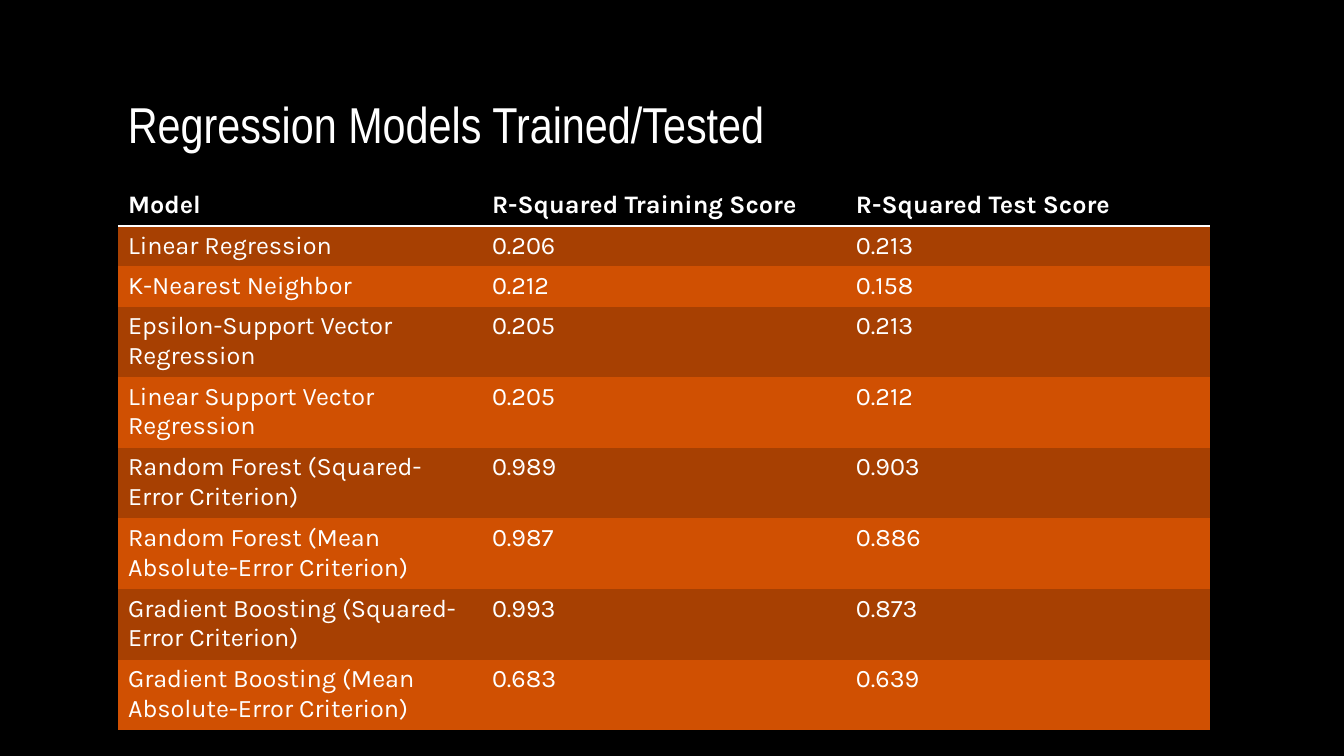
from lxml import etree
from pptx import Presentation
from pptx import util as u
from pptx.dml.color import RGBColor
from pptx.enum import text
from pptx.oxml import ns

BLACK = RGBColor(0x00, 0x00, 0x00)
WHITE = RGBColor(0xFF, 0xFF, 0xFF)
DARK_ORANGE = RGBColor(0xA7, 0x40, 0x02)
ORANGE = RGBColor(0xD0, 0x50, 0x02)
NO_STYLE_NO_GRID = "{2D5ABB26-0587-4C30-8999-92F81FD0307C}"

HEADINGS = ("Model", "R-Squared Training Score", "R-Squared Test Score")
SCORES = (
    ("Linear Regression", "0.206", "0.213"),
    ("K-Nearest Neighbor", "0.212", "0.158"),
    ("Epsilon-Support Vector Regression", "0.205", "0.213"),
    ("Linear Support Vector Regression", "0.205", "0.212"),
    ("Random Forest (Squared-Error Criterion)", "0.989", "0.903"),
    ("Random Forest (Mean Absolute-Error Criterion)", "0.987", "0.886"),
    ("Gradient Boosting (Squared-Error Criterion)", "0.993", "0.873"),
    ("Gradient Boosting (Mean Absolute-Error Criterion)", "0.683", "0.639"),
)
ONE_LINE_ROWS = 3
ONE_LINE_HEIGHT = 0.4
TWO_LINE_HEIGHT = 0.69


class SlideBuilder:
    title_font = "Arial Narrow"
    body_font = "Karla"

    def __init__(self, slide):
        self.slide = slide
        background = slide.background.fill
        background.solid()
        background.fore_color.rgb = BLACK

    def add_run(self, paragraph, content, font_name, size, bold=False):
        run = paragraph.add_run()
        run.text = content
        run.font.name = font_name
        run.font.size = u.Pt(size)
        run.font.bold = bold
        run.font.color.rgb = WHITE

    def add_title(self, content, left, top, width, height):
        shape = self.slide.shapes.add_textbox(
            u.Inches(left), u.Inches(top), u.Inches(width), u.Inches(height))
        frame = shape.text_frame
        frame.word_wrap = True
        frame.vertical_anchor = text.MSO_ANCHOR.BOTTOM
        paragraph = frame.paragraphs[0]
        paragraph.line_spacing = 0.9
        self.add_run(paragraph, content, self.title_font, 36)

    def add_score_table(self, rows, heights, left, top, width):
        shape = self.slide.shapes.add_table(
            len(rows), len(rows[0]), u.Inches(left), u.Inches(top),
            u.Inches(width), u.Inches(sum(heights)))
        table = shape.table
        style = table._tbl.tblPr.find(ns.qn("a:tableStyleId"))
        style.text = NO_STYLE_NO_GRID
        for row_index, (values, height) in enumerate(zip(rows, heights)):
            table.rows[row_index].height = u.Inches(height)
            is_header = row_index == 0
            band = DARK_ORANGE if row_index % 2 else ORANGE
            for column_index, value in enumerate(values):
                cell = table.cell(row_index, column_index)
                cell.fill.solid()
                cell.fill.fore_color.rgb = BLACK if is_header else band
                self.add_run(cell.text_frame.paragraphs[0], value,
                             self.body_font, 18, bold=is_header)
                if is_header:
                    self.add_bottom_border(cell, 2)

    def add_bottom_border(self, cell, points):
        line = etree.Element(ns.qn("a:lnB"), w=str(u.Pt(points)))
        fill = etree.SubElement(line, ns.qn("a:solidFill"))
        etree.SubElement(fill, ns.qn("a:srgbClr"), val=str(WHITE))
        cell._tc.get_or_add_tcPr().insert(0, line)


def main():
    presentation = Presentation()
    presentation.slide_width = u.Inches(13.33)
    presentation.slide_height = u.Inches(7.5)
    slide = presentation.slides.add_slide(presentation.slide_layouts[6])
    builder = SlideBuilder(slide)
    builder.add_title("Regression Models Trained/Tested", 1.17, 0.33, 11, 1.25)
    rows = (HEADINGS, *SCORES)
    heights = [ONE_LINE_HEIGHT if index < ONE_LINE_ROWS else TWO_LINE_HEIGHT
               for index in range(len(rows))]
    builder.add_score_table(rows, heights, 1.17, 1.84, 10.83)
    presentation.save("out.pptx")


if __name__ == "__main__":
    main()
